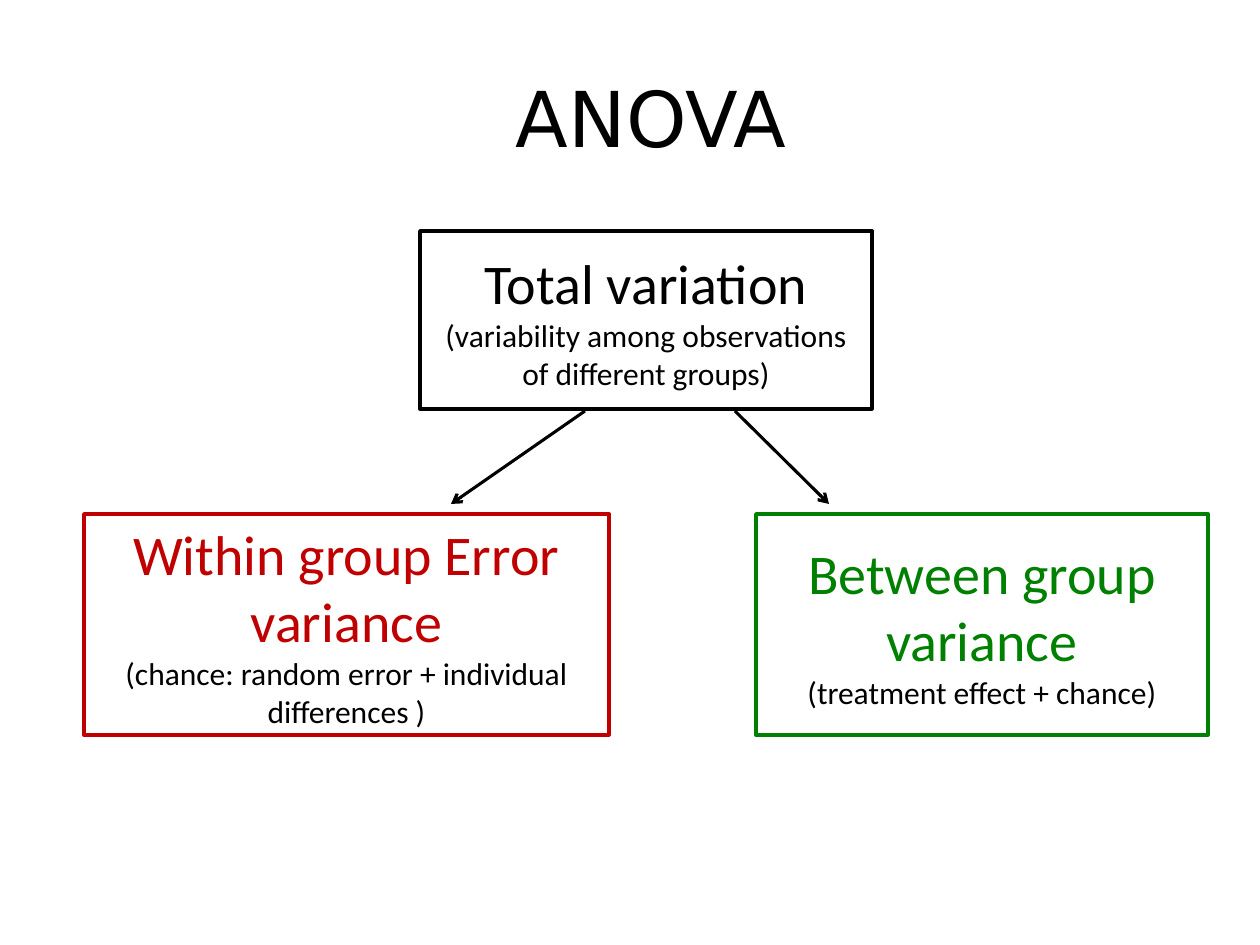
from lxml import etree
from pptx import Presentation
from pptx.dml.color import RGBColor
from pptx.enum.shapes import MSO_CONNECTOR, MSO_SHAPE
from pptx.enum.text import MSO_ANCHOR, PP_ALIGN
from pptx.oxml.ns import qn
from pptx.util import Emu, Pt

RECTANGLE = MSO_SHAPE.RECTANGLE
STRAIGHT = MSO_CONNECTOR.STRAIGHT
MIDDLE = MSO_ANCHOR.MIDDLE
CENTER = PP_ALIGN.CENTER

PX = 914400 // 126  # EMU in one px
BLACK, RED, GREEN = "000000", "C00000", "008000"


def px(*lengths):
    return [Emu(length * PX) for length in lengths]


def color(hex_string):
    return RGBColor.from_string(hex_string)


class SlideBuilder:
    heading_font = "DejaVu Sans"
    body_font = "Calibri"
    box_line = 2
    arrow_line = 1.75

    def __init__(self, slide):
        self.slide = slide

    def add_text(self, shape, lines):
        """Fill a shape with centred paragraphs of (text, size, font, colour)."""
        frame = shape.text_frame
        frame.word_wrap = True
        frame.vertical_anchor = MIDDLE
        for index, (text, size, font, hex_string) in enumerate(lines):
            paragraph = frame.add_paragraph() if index else frame.paragraphs[0]
            paragraph.alignment = CENTER
            run = paragraph.add_run()
            run.text = text
            for name, value in {"size": Pt(size), "name": font}.items():
                setattr(run.font, name, value)
            run.font.color.rgb = color(hex_string)

    def title(self, text, bounds):
        shape = self.slide.shapes.add_textbox(*px(*bounds))
        self.add_text(shape, [(text, 44, self.heading_font, BLACK)])

    def box(self, heading, detail, hex_string, bounds):
        shape = self.slide.shapes.add_shape(RECTANGLE, *px(*bounds))
        shape.shadow.inherit = False
        shape.fill.background()
        shape.line.color.rgb = color(hex_string)
        shape.line.width = Pt(self.box_line)
        self.add_text(shape, [(heading, 32, self.body_font, hex_string),
                              (detail, 18, self.body_font, BLACK)])

    def arrow(self, start, end):
        connector = self.slide.shapes.add_connector(STRAIGHT, *px(*start, *end))
        connector.line.color.rgb = color(BLACK)
        connector.line.width = Pt(self.arrow_line)
        properties = connector.element.spPr
        line = properties.find(qn("a:ln"))
        etree.SubElement(line, qn("a:tailEnd"), type="arrow")
        etree.SubElement(properties, qn("a:effectLst"))


def main():
    presentation = Presentation()
    presentation.slide_width, presentation.slide_height = px(1260, 945)
    blank_layout = presentation.slide_layouts[6]
    builder = SlideBuilder(presentation.slides.add_slide(blank_layout))

    builder.title("ANOVA", (63, 38, 1176, 157))

    # Total variation and its two parts
    narrow, lower_top, lower_height = 452, 514, 221
    builder.box("Total variation",
                "(variability among observations of different groups)",
                BLACK, (420, 231, narrow, 178))
    builder.box("Within group Error variance",
                "(chance: random error + individual differences )",
                RED, (84, lower_top, 525, lower_height))
    builder.box("Between group variance", "(treatment effect + chance)",
                GREEN, (756, lower_top, narrow, lower_height))

    # Arrows from the total to each part
    for start_x, end_x in ((585, 451), (735, 829)):
        builder.arrow((start_x, 411), (end_x, 504))

    presentation.save("out.pptx")


if __name__ == "__main__":
    main()
